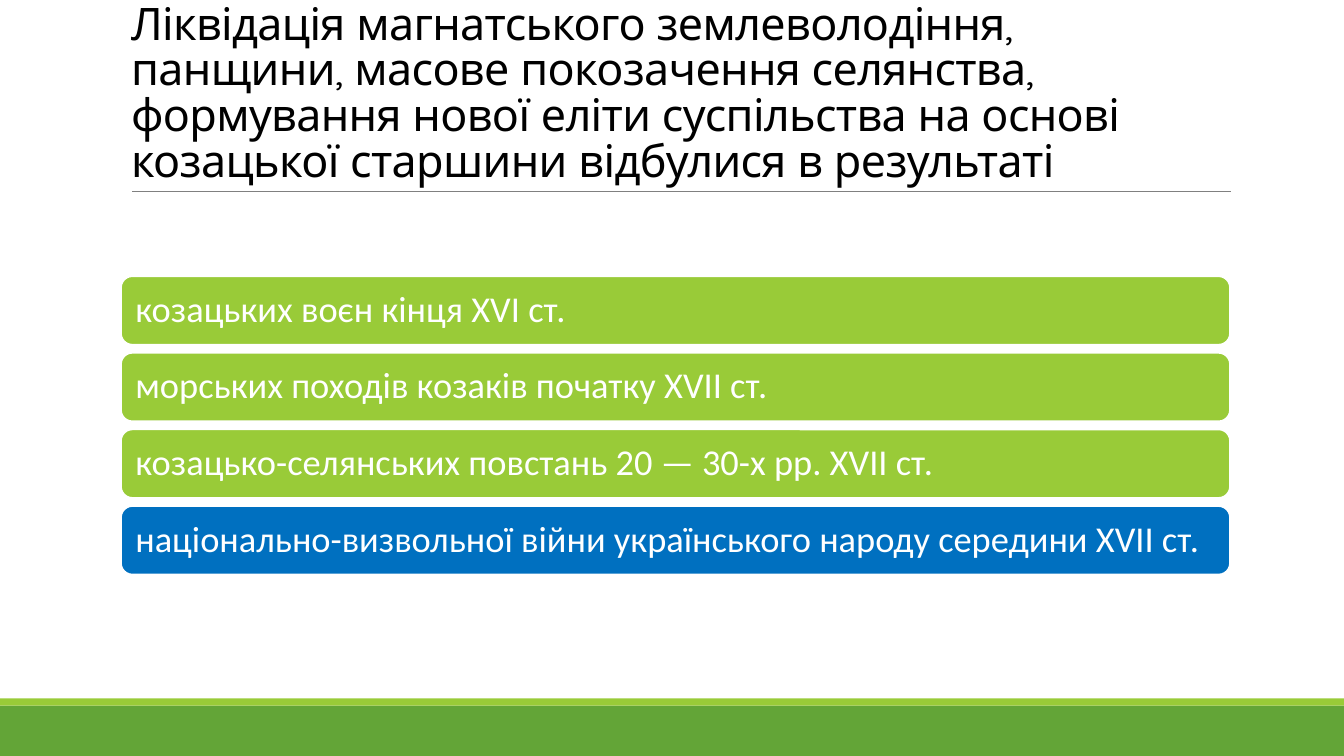
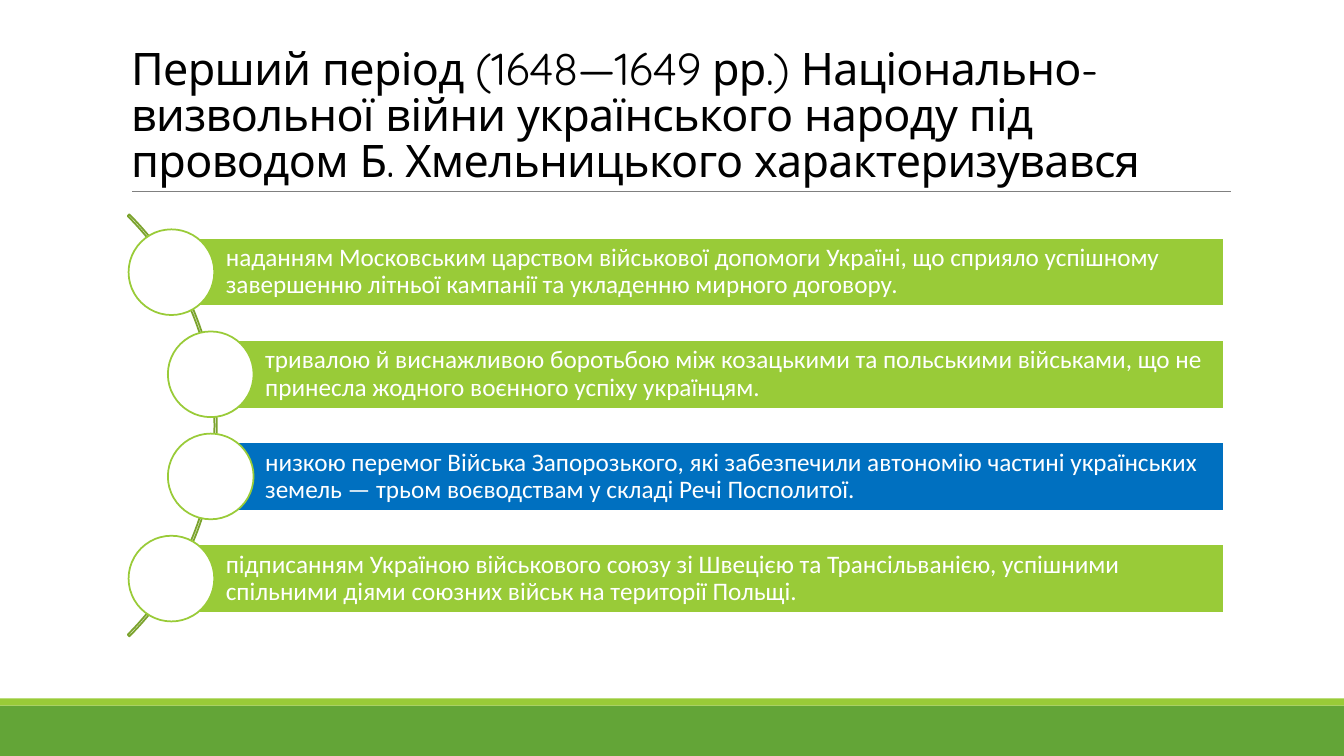
from pptx import Presentation
from pptx.dml.color import RGBColor
from pptx.enum.shapes import MSO_CONNECTOR, MSO_SHAPE
from pptx.enum.text import MSO_ANCHOR, MSO_AUTO_SIZE, PP_ALIGN
from pptx.oxml import parse_xml
from pptx.oxml.ns import nsdecls
from pptx.util import Inches, Pt

RECT, ROUND, OVAL, ARC = (MSO_SHAPE.RECTANGLE, MSO_SHAPE.ROUNDED_RECTANGLE,
                          MSO_SHAPE.OVAL, MSO_SHAPE.BLOCK_ARC)
STRAIGHT = MSO_CONNECTOR.STRAIGHT
BOTTOM, MIDDLE = MSO_ANCHOR.BOTTOM, MSO_ANCHOR.MIDDLE
NO_FIT = MSO_AUTO_SIZE.NONE
LEFT = PP_ALIGN.LEFT

COLORS = {name: RGBColor.from_string(value) for name, value in {
    "band": "63A537", "lime": "99CB38", "answer": "0070C0", "arc": "7BA32D",
    "rule": "808080", "white": "FFFFFF", "black": "000000",
}.items()}


def add_box(s, kind, x, y, w, h, fill=None, line=None):
    sp = s.shapes.add_shape(kind, Inches(x), Inches(y), Inches(w), Inches(h))
    sp.shadow.inherit = False
    if fill:
        sp.fill.solid()
        sp.fill.fore_color.rgb = COLORS[fill]
    else:
        sp.fill.background()
    if line:
        sp.line.color.rgb = COLORS[line]
        sp.line.width = Pt(1.25)
    else:
        sp.line.fill.background()
    return sp


def write(sp, text, font, size, color, anchor, spacing):
    tf = sp.text_frame
    tf.text = text
    tf.word_wrap = True
    tf.auto_size = NO_FIT
    tf.vertical_anchor = anchor
    p = tf.paragraphs[0]
    p.alignment = LEFT
    p.line_spacing = spacing
    r = p.runs[0]
    r.font.name = font
    r.font.size = Pt(size)
    r.font.color.rgb = COLORS[color]
    return tf


prs = Presentation()
prs.slide_width, prs.slide_height = Inches(13.33), Inches(7.5)
layout = prs.slide_layouts[5]

title = layout.placeholders[0]
title.left, title.top = Inches(1.2), Inches(0.31)
title.width, title.height = Inches(11), Inches(1.59)

titles = [
    "Ліквідація магнатського землеволодіння, панщини, масове покозачення селянства, "
    "формування нової еліти суспільства на основі козацької старшини відбулися в результаті",
    "Перший період (1648—1649 рр.) Національно-визвольної війни українського народу "
    "під проводом Б. Хмельницького характеризувався",
]
for text in titles:
    s = prs.slides.add_slide(layout)
    tf = write(s.shapes.title, text, "Quicksand", 32, "black", BOTTOM, 0.85)
    tf.paragraphs[0].runs[0].font._element.set("spc", "-50")

wars, period = prs.slides

rule = wars.shapes.add_connector(STRAIGHT, Inches(1.31), Inches(1.9), Inches(12.21), Inches(1.9))
rule.line.color.rgb = COLORS["rule"]
rule.line.width = Pt(0.5)
rule.element.spPr.append(parse_xml(f"<a:effectLst {nsdecls('a')}/>"))
shared = [
    add_box(wars, RECT, 0, 7, 13.33, 0.5, "band"),
    add_box(wars, RECT, 0, 6.93, 13.33, 0.07, "lime"),
    rule,
]
for sp in shared:
    layout.shapes.element.append(sp.element)

war_answers = [
    ("козацьких воєн кінця XVI ст.", "lime"),
    ("морських походів козаків початку XVII ст.", "lime"),
    ("козацько-селянських повстань 20 — 30-х рр. XVII ст.", "lime"),
    ("національно-визвольної війни українського народу середини XVII ст.", "answer"),
]
for i, (text, fill) in enumerate(war_answers):
    sp = add_box(wars, ROUND, 1.2, 2.74 + 0.76 * i, 11, 0.68, fill, "white")
    tf = write(sp, text, "Calibri", 26, "white", MIDDLE, 0.9)
    tf.margin_left = tf.margin_right = Inches(0.11)

arc = add_box(period, ARC, -3.77, 1.26, 5.92, 5.92, line="arc")
for i, value in enumerate([189, 27, 0.004]):
    arc.adjustments[i] = value

period_answers = [
    ("наданням Московським царством військової допомоги Україні, що сприяло успішному "
     "завершенню літньої кампанії та укладенню мирного договору.", 1.7, "lime"),
    ("тривалою й виснажливою боротьбою між козацькими та польськими військами, що не "
     "принесла жодного воєнного успіху українцям.", 2.09, "lime"),
    ("низкою перемог Війська Запорозького, які забезпечили автономію частині українських "
     "земель — трьом воєводствам у складі Речі Посполитої.", 2.09, "answer"),
    ("підписанням Україною військового союзу зі Швецією та Трансільванією, успішними "
     "спільними діями союзних військ на території Польщі.", 1.7, "lime"),
]
bar_right, bar_height, circle = 12.14, 0.68, 0.85
for i, (text, x, fill) in enumerate(period_answers):
    y = 2.36 + 3.04 * i / 3
    sp = add_box(period, RECT, x, y, bar_right - x, bar_height, fill, "white")
    tf = write(sp, text, "Calibri", 18, "white", MIDDLE, 0.9)
    tf.margin_left = Inches(0.54)
    tf.margin_right = Inches(0.05)
    add_box(period, OVAL, x - circle / 2, y + (bar_height - circle) / 2,
            circle, circle, "white", "lime")

prs.save("out.pptx")
